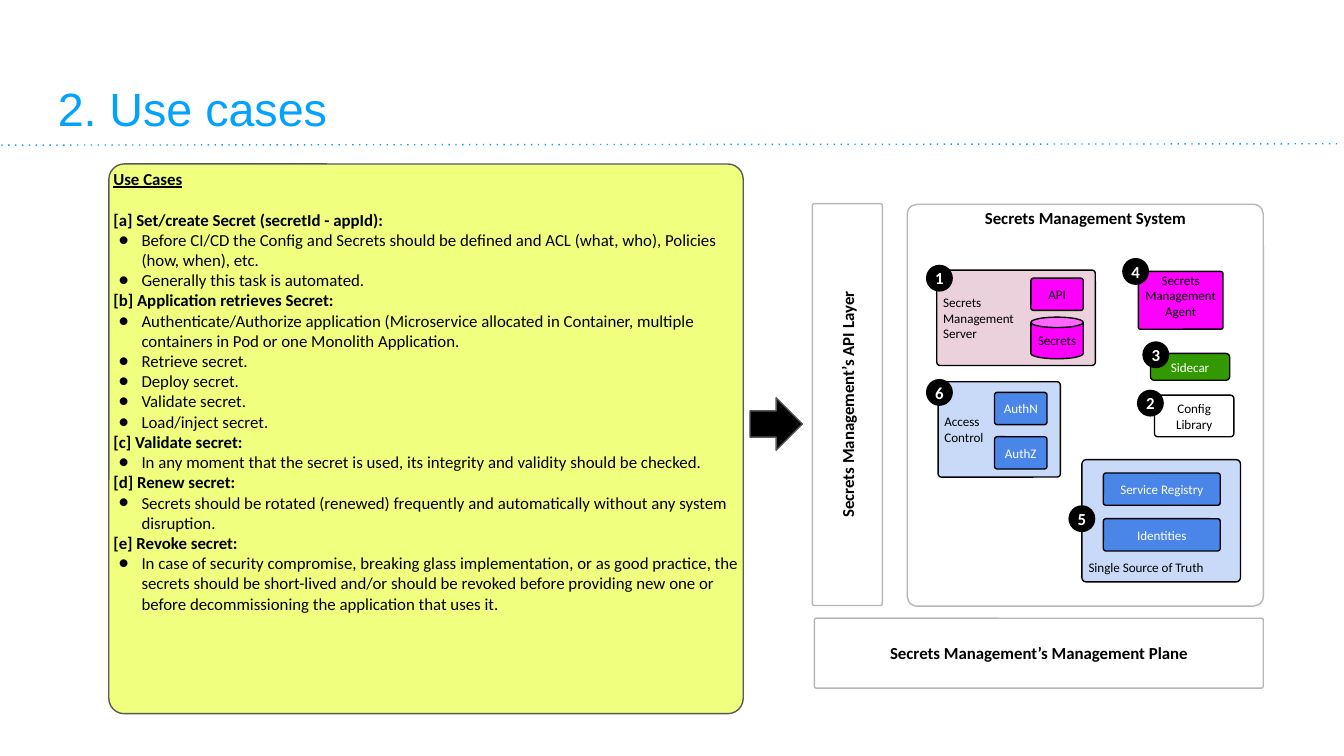
from dataclasses import dataclass

from lxml.etree import SubElement
from pptx import Presentation
from pptx.dml.color import RGBColor
from pptx.enum.shapes import MSO_CONNECTOR, MSO_SHAPE
from pptx.enum.text import MSO_ANCHOR, PP_ALIGN
from pptx.oxml.ns import qn
from pptx.util import Inches, Pt


@dataclass(frozen=True)
class Theme:
    title_font: str = "Arial"
    body_font: str = "Calibri"
    title_size: float = 25
    body_size: float = 9
    small_size: float = 7
    line_width: float = 0.75
    accent: str = "04A2FF"
    black: str = "000000"
    white: str = "FFFFFF"
    grey: str = "B7B7B7"
    dark_grey: str = "595959"
    lime: str = "F0FF7D"
    pink: str = "EAD1DC"
    magenta: str = "FF00FF"
    pale_blue: str = "C9DAF8"
    blue: str = "4A86E8"
    green: str = "339900"


theme = Theme()
deck = Presentation()
deck.slide_width = Inches(10)
deck.slide_height = deck.slide_width * 9 // 16
page = deck.slides.add_slide(deck.slide_layouts[6])
column = deck.slide_width / 100
row = deck.slide_height / 56.25


def draw(kind, place, fill, outline, corner=None):
    left, top, width, height = place
    box = page.shapes.add_shape(kind, round(left * column), round(top * row),
                                round(width * column), round(height * row))
    box.shadow.inherit = False
    box.fill.solid()
    box.fill.fore_color.rgb = RGBColor.from_string(fill)
    if outline:
        box.line.color.rgb = RGBColor.from_string(outline)
        box.line.width = Pt(theme.line_width)
    else:
        box.line.fill.background()
    if corner is not None:
        box.adjustments[0] = corner
    return box


def write(box, text, size, color=theme.black, bold=False, align=PP_ALIGN.CENTER,
          anchor=MSO_ANCHOR.MIDDLE, inset=0, font=theme.body_font):
    frame = box.text_frame
    frame.word_wrap = True
    frame.vertical_anchor = anchor
    frame.margin_left = frame.margin_right = round(inset * column)
    frame.margin_top = frame.margin_bottom = round(inset * row)
    frame.text = text
    for para in frame.paragraphs:
        if para.text.startswith("● "):
            para.runs[0].text = para.text[2:]
            properties = para._p.get_or_add_pPr()
            properties.set("marL", str(round(2.1 * column)))
            properties.set("indent", str(round(-1.7 * column)))
            bullet_color = SubElement(properties, qn("a:buClr"))
            SubElement(bullet_color, qn("a:srgbClr"), val=color)
            SubElement(properties, qn("a:buFont"), typeface=font)
            SubElement(properties, qn("a:buChar"), char="●")
            para.font.bold = False
        else:
            para.font.bold = bold
        para.alignment = align
        para.font.name = font
        para.font.size = Pt(size)
        para.font.color.rgb = RGBColor.from_string(color)


rule = page.shapes.add_connector(MSO_CONNECTOR.STRAIGHT, round(0.1 * column), round(10.8 * row),
                                 round(99.9 * column), round(10.7 * row))
rule.line.color.rgb = RGBColor.from_string(theme.accent)
rule.line.width = Pt(theme.line_width)
dashes = SubElement(rule._element.spPr.find(qn("a:ln")), qn("a:custDash"))
SubElement(dashes, qn("a:ds"), d="100000", sp="400000")
SubElement(rule._element.spPr, qn("a:effectLst"))

title = page.shapes.add_textbox(round(3.4 * column), round(4.9 * row),
                                round(54.3 * column), round(6.3 * row))
write(title, "2. Use cases", theme.title_size, theme.accent, align=PP_ALIGN.LEFT,
      inset=0.9, font=theme.title_font)

use_cases = [
    "Use Cases",
    "[a] Set/create Secret (secretId - appId):",
    "● Before CI/CD the Config and Secrets should be defined and ACL (what, who), "
    "Policies (how, when), etc.",
    "● Generally this task is automated.",
    "[b] Application retrieves Secret:",
    "● Authenticate/Authorize application (Microservice allocated in Container, "
    "multiple containers in Pod or one Monolith Application.",
    "● Retrieve secret.",
    "● Deploy secret.",
    "● Validate secret.",
    "● Load/inject secret.",
    "[c] Validate secret:",
    "● In any moment that the secret is used, its integrity and validity should be checked.",
    "[d] Renew secret:",
    "● Secrets should be rotated (renewed) frequently and automatically without any "
    "system disruption.",
    "[e] Revoke secret:",
    "● In case of security compromise, breaking glass implementation, or as good practice, "
    "the secrets should be short-lived and/or should be revoked before providing new one "
    "or before decommissioning the application that uses it.",
]
use_case_box = draw(MSO_SHAPE.ROUNDED_RECTANGLE, (8.1, 12.2, 47.2, 40.9),
                    theme.lime, theme.dark_grey, 0.028)
write(use_case_box, "\n".join(use_cases), theme.body_size, bold=True,
      align=PP_ALIGN.LEFT, anchor=MSO_ANCHOR.TOP)
heading = use_case_box.text_frame.paragraphs[0]
heading.font.underline = True
heading.space_after = Pt(11)

panels = [
    ("Secrets Management System", (67.5, 15.2, 26.5, 29.9), 0, MSO_ANCHOR.TOP),
    ("Secrets Management’s API Layer", (48.1, 27.5, 29.9, 5.2), 270, MSO_ANCHOR.MIDDLE),
    ("Secrets Management’s Management Plane", (60.6, 46, 33.4, 5.2), 0, MSO_ANCHOR.MIDDLE),
]
for label, place, turn, anchor in panels:
    panel = draw(MSO_SHAPE.ROUNDED_RECTANGLE, place, theme.white, theme.grey, 0.028)
    panel.rotation = turn
    write(panel, label, theme.body_size, bold=True, anchor=anchor)

arrow = draw(MSO_SHAPE.DOWN_ARROW, (55.8, 29.6, 3.9, 3.9), theme.black, theme.dark_grey)
arrow.rotation = 270

groups = [
    ("Access\nControl", (69.8, 28.4, 9.1, 7.1), theme.pale_blue, MSO_ANCHOR.MIDDLE),
    ("Secrets\nManagement\nServer", (69.7, 20.1, 11.8, 7.1), theme.pink, MSO_ANCHOR.MIDDLE),
    ("Single Source of Truth", (80.5, 34.2, 11.8, 9.1), theme.pale_blue, MSO_ANCHOR.BOTTOM),
]
for label, place, fill, anchor in groups:
    group = draw(MSO_SHAPE.ROUNDED_RECTANGLE, place, fill, theme.black, 0.035)
    write(group, label, theme.small_size, align=PP_ALIGN.LEFT, anchor=anchor, inset=0.4)

modules = [
    ("API", (76.7, 20.7, 3.9, 2.4), theme.magenta, theme.black, 0.08),
    ("AuthN", (74, 29.2, 3.9, 2.4), theme.blue, theme.white, 0.08),
    ("AuthZ", (74, 32.5, 3.9, 2.4), theme.blue, theme.white, 0.08),
    ("Service Registry", (82.1, 35.2, 8.7, 2.4), theme.blue, theme.white, 0.08),
    ("Identities", (82.1, 38.6, 8.7, 2.4), theme.blue, theme.white, 0.08),
    ("Sidecar", (85.6, 26.3, 5.9, 2), theme.green, theme.white, 0.14),
    ("Config\nLibrary", (85.9, 29.4, 5.9, 3.1), theme.white, theme.black, 0.08),
]
for label, place, fill, color, corner in modules:
    module = draw(MSO_SHAPE.ROUNDED_RECTANGLE, place, fill, theme.black, corner)
    write(module, label, theme.small_size, color, inset=0.4)

agent = draw(MSO_SHAPE.ROUNDED_RECTANGLE, (84.7, 20.2, 6.3, 4.3),
             theme.magenta, theme.black, 0.035)
write(agent, "Secrets Management Agent", theme.small_size, anchor=MSO_ANCHOR.TOP)
store = draw(MSO_SHAPE.CAN, (76.7, 23.6, 3.9, 3.1), theme.magenta, theme.black, 0.25)
write(store, "Secrets", theme.small_size)

badge_spots = [(68.9, 19.7), (84.6, 29), (85, 25.4), (83.5, 19.2), (79.5, 37.6), (68.9, 28.2)]
for number, (left, top) in enumerate(badge_spots, start=1):
    badge = draw(MSO_SHAPE.OVAL, (left, top, 2, 2), theme.black, None)
    write(badge, str(number), theme.body_size, theme.white, bold=True)

deck.save("out.pptx")
